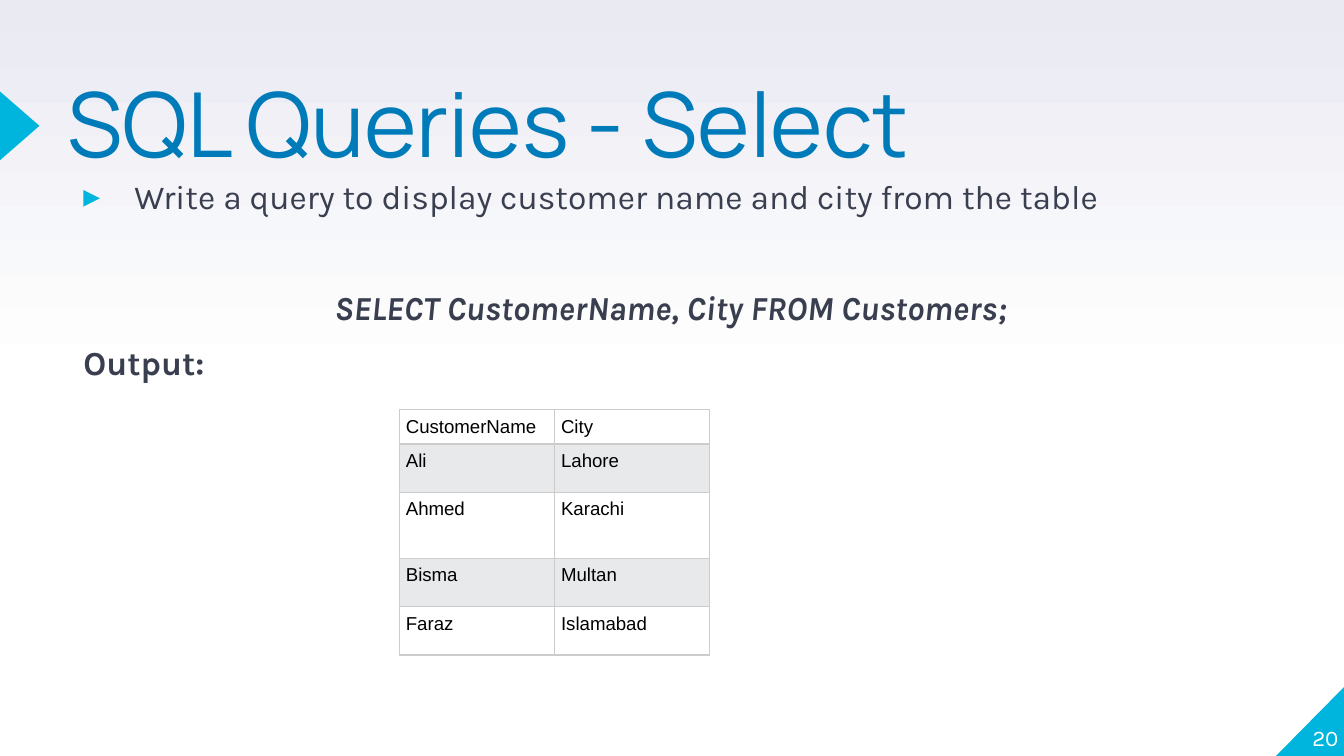
from lxml.etree import SubElement
from pptx import Presentation
from pptx.dml.color import RGBColor
from pptx.enum.shapes import MSO_SHAPE as Shape
from pptx.enum.text import MSO_ANCHOR as Anchor, MSO_AUTO_SIZE as AutoSize, PP_ALIGN as Align
from pptx.oxml import parse_xml
from pptx.oxml.ns import nsdecls, qn
from pptx.util import Emu, Inches, Pt

WIDTH, HEIGHT = Inches(10), Inches(5.625)
CYAN, BLUE, SLATE = "00B5DD", "007BB9", "3A3F50"
WHITE, BLACK, STRIPE, RULE = "FFFFFF", "000000", "E7E9EB", "CCCCCC"
QUERY = "SELECT CustomerName, City FROM Customers;"
CUSTOMERS = [
    ("CustomerName", "City"),
    ("Ali", "Lahore"),
    ("Ahmed", "Karachi"),
    ("Bisma", "Multan"),
    ("Faraz", "Islamabad"),
]


def color(hex_value):
    """Turn a hex string into a colour."""
    return RGBColor.from_string(hex_value)


def area(left, top, width, height):
    """Turn percentages of the slide into a box of lengths."""
    return (Emu(int(WIDTH * left / 100)), Emu(int(HEIGHT * top / 100)),
            Emu(int(WIDTH * width / 100)), Emu(int(HEIGHT * height / 100)))


def style(paragraph, face, size, ink, bold=False, italic=False):
    """Format every run of a paragraph."""
    for run in paragraph.runs:
        font = run.font
        font.name, font.size, font.bold, font.italic = face, Pt(size), bold, italic
        font.color.rgb = color(ink)


def prepare(frame, anchor=Anchor.TOP):
    """Give a text frame no margins, wrapping and a fixed size."""
    frame.margin_left = frame.margin_right = frame.margin_top = frame.margin_bottom = 0
    frame.word_wrap = True
    frame.auto_size = AutoSize.NONE
    frame.vertical_anchor = anchor


def place(holder, box):
    """Move a placeholder to a box."""
    holder.left, holder.top, holder.width, holder.height = box


def paint_background(slide):
    """Fade the slide from lavender at the top to white at the middle."""
    fill = slide.background.fill
    fill.gradient()
    fill.gradient_angle = 90
    for stop, (position, tint) in zip(fill.gradient_stops, [(0.5, WHITE), (1, "E9EAF2")]):
        stop.position = position
        stop.color.rgb = color(tint)


def add_accent(slide, kind, box):
    """Add a plain cyan shape."""
    accent = slide.shapes.add_shape(kind, *box)
    accent.shadow.inherit = False
    accent.fill.solid()
    accent.fill.fore_color.rgb = color(CYAN)
    accent.line.fill.background()
    return accent


def add_title(slide, box):
    """Write the heading in the title placeholder."""
    heading = slide.shapes.title
    place(heading, box)
    prepare(heading.text_frame)
    heading.text_frame.text = "SQL Queries - Select"
    line = heading.text_frame.paragraphs[0]
    line.alignment, line.line_spacing = Align.LEFT, 0.8
    style(line, "Manrope", 48, BLUE)


def set_bullet(paragraph, margin, indent, mark=None):
    """Indent a paragraph and set or remove its bullet."""
    props = paragraph._p.get_or_add_pPr()
    props.set("marL", str(Inches(margin)))
    props.set("indent", str(Inches(indent)))
    if mark is None:
        SubElement(props, qn("a:buNone"))
        return
    tint = SubElement(props, qn("a:buClr"))
    SubElement(tint, qn("a:srgbClr")).set("val", CYAN)
    SubElement(props, qn("a:buChar")).set("char", mark)


def add_exercise(slide, box):
    """Write the task, the query and the output label in the body placeholder."""
    body = slide.placeholders[1]
    place(body, box)
    prepare(body.text_frame)
    body.text_frame.text = "\n".join(
        ["Write a query to display customer name and city from the table", QUERY, "Output:"])
    task, query, output = body.text_frame.paragraphs
    for line, gap in [(task, 6), (query, 35.5), (output, 6)]:
        line.alignment, line.line_spacing, line.space_before = Align.LEFT, 1.1, Pt(gap)
        style(line, "Karla", 18, SLATE, bold=line is not task, italic=line is query)
    query.alignment = Align.CENTER
    set_bullet(task, 0.5, -0.38, "▸")
    set_bullet(query, 0.12, 0)
    set_bullet(output, 0.12, 0)


def add_borders(cell):
    """Rule all four sides of a cell."""
    props = cell._tc.get_or_add_tcPr()
    for index, side in enumerate("LRTB"):
        props.insert(index, parse_xml(
            f'<a:ln{side} {nsdecls("a")} w="{Pt(0.75)}"><a:solidFill>'
            f'<a:srgbClr val="{RULE}"/></a:solidFill></a:ln{side}>'))


def add_customers(slide, box):
    """Add the query result as a striped table."""
    table = slide.shapes.add_table(len(CUSTOMERS), 2, *box).table
    shares = [0.23, 0.36, 0.49, 0.36, 0.36]
    for index, (record, share) in enumerate(zip(CUSTOMERS, shares)):
        table.rows[index].height = Emu(int(box[3] * share / sum(shares)))
        for cell, value in zip(table.rows[index].cells, record):
            cell.text = value
            cell.margin_left = cell.margin_right = Inches(0.05)
            cell.margin_top = cell.margin_bottom = Inches(0.05)
            cell.fill.solid()
            cell.fill.fore_color.rgb = color(STRIPE if index % 2 else WHITE)
            style(cell.text_frame.paragraphs[0], "Arial", 10, BLACK)
            add_borders(cell)


def add_page_number(slide, box):
    """Write the page number over the corner."""
    frame = slide.shapes.add_textbox(*box).text_frame
    prepare(frame, Anchor.BOTTOM)
    frame.text = "20"
    frame.paragraphs[0].alignment = Align.RIGHT
    style(frame.paragraphs[0], "Karla", 12, WHITE)


def main():
    """Build the slide and save it."""
    deck = Presentation()
    deck.slide_width, deck.slide_height = WIDTH, HEIGHT
    slide = deck.slides.add_slide(deck.slide_layouts[1])
    paint_background(slide)
    corner = add_accent(slide, Shape.RIGHT_TRIANGLE, area(94.95, 90.9, 5.05, 9.1))
    corner._element.spPr.xfrm.set("flipH", "1")
    pointer = add_accent(slide, Shape.ISOSCELES_TRIANGLE, area(-1.08, 14.05, 5.1, 5.2))
    pointer.rotation = 90
    add_title(slide, area(5, 11.73, 94.6, 21))
    add_exercise(slide, area(5, 22.75, 88.6, 68))
    add_customers(slide, area(29.7, 54.2, 23.1, 32))
    add_page_number(slide, area(94.6, 90.2, 5, 9.1))
    deck.save("out.pptx")


if __name__ == "__main__":
    main()
